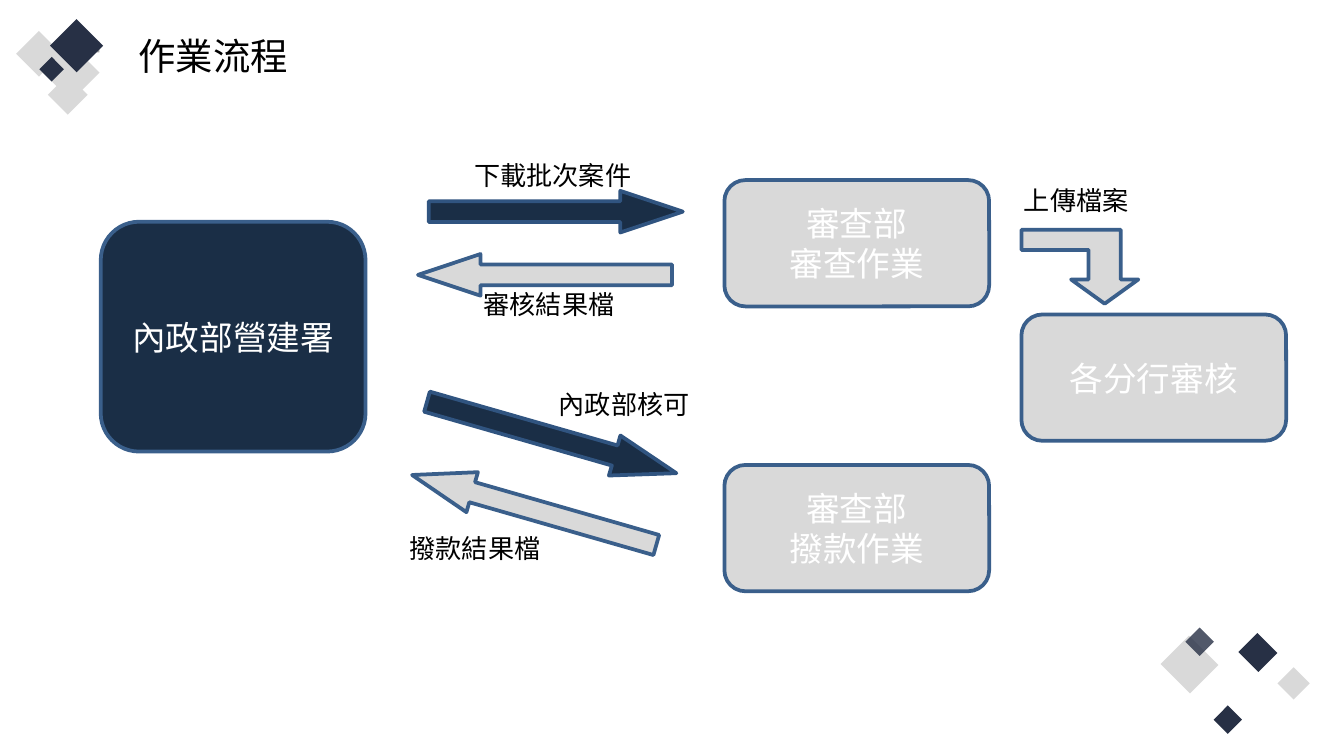
from lxml import etree
from pptx import Presentation
from pptx.dml.color import RGBColor
from pptx.enum.shapes import MSO_SHAPE
from pptx.enum.text import MSO_ANCHOR, MSO_AUTO_SIZE, PP_ALIGN
from pptx.oxml.ns import qn
from pptx.util import Pt

RECT = MSO_SHAPE.RECTANGLE
ROUND = MSO_SHAPE.ROUNDED_RECTANGLE
ARROW = MSO_SHAPE.RIGHT_ARROW
CENTER, LEFT = PP_ALIGN.CENTER, PP_ALIGN.LEFT
TOP, MIDDLE = MSO_ANCHOR.TOP, MSO_ANCHOR.MIDDLE

PX = 9144  # 100 px to the inch
WIDTH = 1000
FONT = "Noto Sans CJK SC"
NAVY = RGBColor(0x1A, 0x2E, 0x46)
INK = RGBColor(0x27, 0x30, 0x45)
GRAY = RGBColor(0xD9, 0xD9, 0xD9)
MID = RGBColor(0xA6, 0xA6, 0xA6)
EDGE = RGBColor(0x3A, 0x5F, 0x8B)
DEEP = RGBColor(0x30, 0x54, 0x80)
WHITE = RGBColor(0xFF, 0xFF, 0xFF)
BLACK = RGBColor(0, 0, 0)

TITLE = ("作業流程", (93, 20, 135, 43))
# place, turn, fill, opacity in percent
TILES = [
    ((68, 33, 8, 4), 270, MID, 100),
    ((17, 28, 24, 24), 315, GRAY, 100),
    ((50, 44, 20, 20), 315, GRAY, 100),
    ((43, 38, 12, 12), 315, GRAY, 100),
    ((34, 41, 22, 21), 315, GRAY, 100),
    ((32, 45, 13, 13), 315, INK, 100),
    ((43, 20, 28, 28), 315, INK, 100),
    ((40, 60, 21, 21), 315, GRAY, 100),
    ((926, 475, 20, 21), 315, INK, 100),
    ((954, 500, 17, 17), 315, GRAY, 100),
    ((870, 479, 30, 31), 135, GRAY, 100),
    ((906, 528, 15, 15), 135, INK, 100),
    ((885, 470, 15, 15), 135, INK, 80),
]
STEPS = [
    ("內政部營建署", (75, 165, 197, 171), NAVY),
    ("審查部\n審查作業", (539, 134, 197, 94), GRAY),
    ("審查部\n撥款作業", (539, 346, 197, 94), GRAY),
    ("各分行審核", (760, 234, 197, 94), GRAY),
]
# place, turn, fill, line, head length over height
ARROWS = [
    ((311, 189, 189, 31), 180, GRAY, EDGE, 1.5),
    ((319, 142, 189, 31), 0, NAVY, DEEP, 1.5),
    ((314, 310, 193, 31), 16, NAVY, DEEP, 1.54),
    ((303, 364, 189, 31), 196, GRAY, EDGE, 1.5),
]
BEND = [(760, 186), (810, 186), (810, 208), (797, 208), (822, 226),
        (847, 208), (834, 208), (834, 171), (760, 171)]
LABELS = [
    ("下載批次案件", (343, 114, 142, 33)),
    ("審核結果檔", (350, 210, 118, 33)),
    ("內政部核可", (406, 284, 150, 33)),
    ("撥款結果檔", (295, 391, 150, 33)),
    ("上傳檔案", (752, 132, 102, 33)),
]


def emu(box):
    return [n * PX for n in box]


def paint(shape, fill, line=None):
    shape.shadow.inherit = False
    shape.fill.solid()
    shape.fill.fore_color.rgb = fill
    if line is None:
        shape.line.fill.background()
    else:
        shape.line.color.rgb = line
        shape.line.width = Pt(2)


def write(shape, text, size, color, align=LEFT, anchor=TOP, wrap=True):
    frame = shape.text_frame
    frame.text = text
    frame.word_wrap = wrap
    frame.auto_size = MSO_AUTO_SIZE.NONE
    frame.vertical_anchor = anchor
    for para in frame.paragraphs:
        para.alignment = align
        font = para.font
        font.size = Pt(size)
        font.color.rgb = color
        font.name = FONT
        # Chinese text takes its face from the East Asian slot
        props = para._p.pPr.find(qn("a:defRPr"))
        etree.SubElement(props, qn("a:ea"), typeface=FONT)


def fade(shape, percent):
    color = shape.fill._xPr.find(qn("a:solidFill"))[0]
    etree.SubElement(color, qn("a:alpha"), val=str(percent * 1000))


def main():
    deck = Presentation()
    deck.slide_width = WIDTH * PX
    deck.slide_height = WIDTH * PX * 9 // 16
    slide = deck.slides.add_slide(deck.slide_layouts[5])
    shapes = slide.shapes

    text, box = TITLE
    title = shapes.title
    title.left, title.top, title.width, title.height = emu(box)
    write(title, text, 20, BLACK, wrap=False)

    for box, turn, fill, alpha in TILES:
        tile = shapes.add_shape(RECT, *emu(box))
        tile.rotation = turn
        paint(tile, fill)
        if alpha < 100:
            fade(tile, alpha)

    for text, box, fill in STEPS:
        step = shapes.add_shape(ROUND, *emu(box))
        paint(step, fill, EDGE)
        write(step, text, 18, WHITE, CENTER, MIDDLE)

    for box, turn, fill, line, head in ARROWS:
        arrow = shapes.add_shape(ARROW, *emu(box))
        arrow.rotation = turn
        arrow.adjustments[1] = head
        paint(arrow, fill, line)

    path = shapes.build_freeform(*BEND[0], scale=PX)
    path.add_line_segments(BEND[1:], close=True)
    paint(path.convert_to_shape(), GRAY, EDGE)

    for text, box in LABELS:
        write(shapes.add_textbox(*emu(box)), text, 14, BLACK)

    deck.save("out.pptx")


if __name__ == "__main__":
    main()
